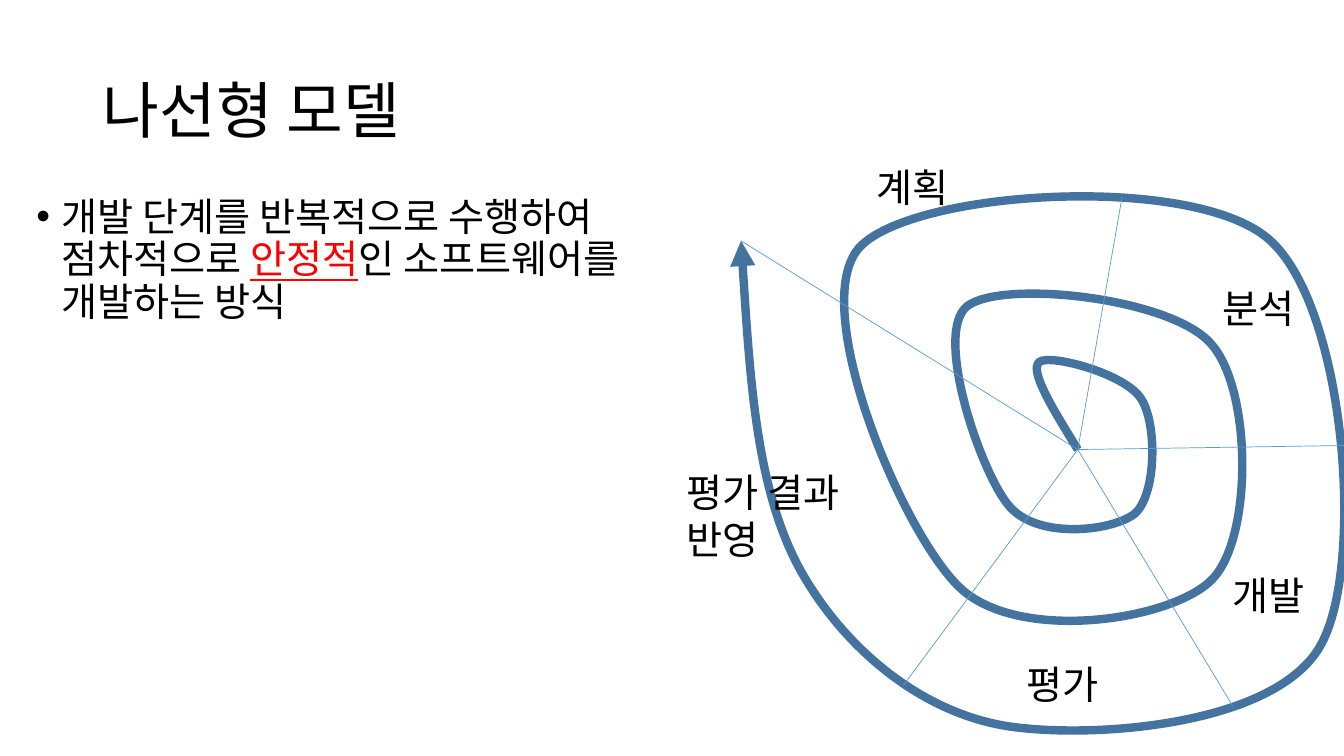
from lxml.etree import SubElement
from pptx import Presentation
from pptx.dml.color import RGBColor
from pptx.enum.shapes import MSO_CONNECTOR as Link
from pptx.enum.text import MSO_ANCHOR as Anchor, MSO_AUTO_SIZE as Fit, PP_ALIGN as Align
from pptx.oxml.ns import qn
from pptx.util import Inches, Pt

COLORS = {"text": "000000", "accent": "FF0000", "spiral": "43739E", "spoke": "5B9BD5"}
FONT = "Noto Sans CJK KR"
CELL = Inches(0.01)
COLS, ROWS = 1333, 750


def add_run(paragraph, words, size, color="text"):
    run = paragraph.add_run()
    run.text = words
    run.font.size = Pt(size)
    run.font.name = FONT
    run.font.color.rgb = RGBColor.from_string(COLORS[color])
    SubElement(run.font._element, qn("a:ea"), typeface=FONT)
    return run


def place(holder, col, row, cols, rows):
    holder.left, holder.top = col * CELL, row * CELL
    holder.width, holder.height = cols * CELL, rows * CELL
    holder.text_frame.word_wrap = True
    holder.text_frame.auto_size = Fit.NONE
    return holder.text_frame


deck = Presentation()
deck.slide_width, deck.slide_height = COLS * CELL, ROWS * CELL
slide = deck.slides.add_slide(deck.slide_layouts[1])

heading = place(slide.shapes.title, 92, 40, 1150, 145)
heading.vertical_anchor = Anchor.MIDDLE
heading.paragraphs[0].alignment = Align.LEFT
heading.paragraphs[0].line_spacing = 0.9
add_run(heading.paragraphs[0], "나선형 모델", 44)

definition = place(slide.placeholders[1], 26, 191, 619, 517).paragraphs[0]
definition.line_spacing = 0.9
definition.space_before = Pt(10)
indent = definition._p.get_or_add_pPr()
indent.set("marL", str(Inches(0.25)))
indent.set("indent", str(-Inches(0.25)))
SubElement(indent, qn("a:buFont"), typeface="Arial")
SubElement(indent, qn("a:buChar"), char="•")
add_run(definition, "개발 단계를 반복적으로 수행하여 점차적으로 ", 28)
add_run(definition, "안정적", 28, "accent").font.underline = True
add_run(definition, "인 소프트웨어를 개발하는 방식", 28)

center = (1069, 446)
tip = (735, 239)
spiral_left, spiral_top, spiral_right, spiral_bottom = 735, 195, 1333, 725
turns = [
    [(1045, 407), (1020, 367), (1031, 359)],
    [(1042, 351), (1117, 371), (1132, 396)],
    [(1148, 421), (1147, 492), (1125, 510)],
    [(1103, 527), (1028, 536), (1000, 501)],
    [(972, 467), (926, 331), (959, 304)],
    [(993, 277), (1161, 295), (1201, 341)],
    [(1242, 386), (1243, 536), (1201, 576)],
    [(1160, 616), (1010, 638), (952, 583)],
    [(894, 528), (801, 304), (852, 246)],
    [(903, 189), (1181, 171), (1258, 237)],
    [(1334, 302), (1354, 557), (1311, 638)],
    [(1269, 719), (1089, 733), (1003, 721)],
    [(917, 709), (839, 646), (794, 566)],
    [(750, 486), (743, 363), tip],
]
outline = slide.shapes.build_freeform(spiral_left, spiral_top, scale=CELL)
outline.add_line_segments([(spiral_right, spiral_bottom)], close=False)
spiral = outline.convert_to_shape()
spiral.shadow.inherit = False
spiral.fill.background()
spiral.line.color.rgb = RGBColor.from_string(COLORS["spiral"])
spiral.line.width = Pt(6)
SubElement(spiral.line._get_or_add_ln(), qn("a:tailEnd"), type="triangle")

curve = spiral._element.xpath(".//a:path")[0]
for straight in list(curve):
    curve.remove(straight)
for step, points in [("a:moveTo", [center])] + [("a:cubicBezTo", turn) for turn in turns]:
    segment = SubElement(curve, qn(step))
    for col, row in points:
        SubElement(segment, qn("a:pt"), x=str(col - spiral_left), y=str(row - spiral_top))

for col, row in [(1333, 442), (896, 680), (1223, 701), tip, (1113, 195)]:
    spoke = slide.shapes.add_connector(
        Link.STRAIGHT, center[0] * CELL, center[1] * CELL, col * CELL, row * CELL)
    spoke.line.color.rgb = RGBColor.from_string(COLORS["spoke"])
    spoke.line.width = Pt(0.5)
    SubElement(spoke._element.spPr, qn("a:effectLst"))

phases = [
    ("계획", 859, 157, 261, 57),
    ("분석", 1203, 277, 261, 57),
    ("개발", 1213, 562, 261, 57),
    ("평가", 1008, 650, 261, 57),
    ("평가 결과 반영", 671, 460, 215, 104),
]
for phase, *area in phases:
    label = place(slide.shapes.add_textbox(0, 0, CELL, CELL), *area)
    label.auto_size = Fit.SHAPE_TO_FIT_TEXT
    add_run(label.paragraphs[0], phase, 28)

deck.save("out.pptx")
